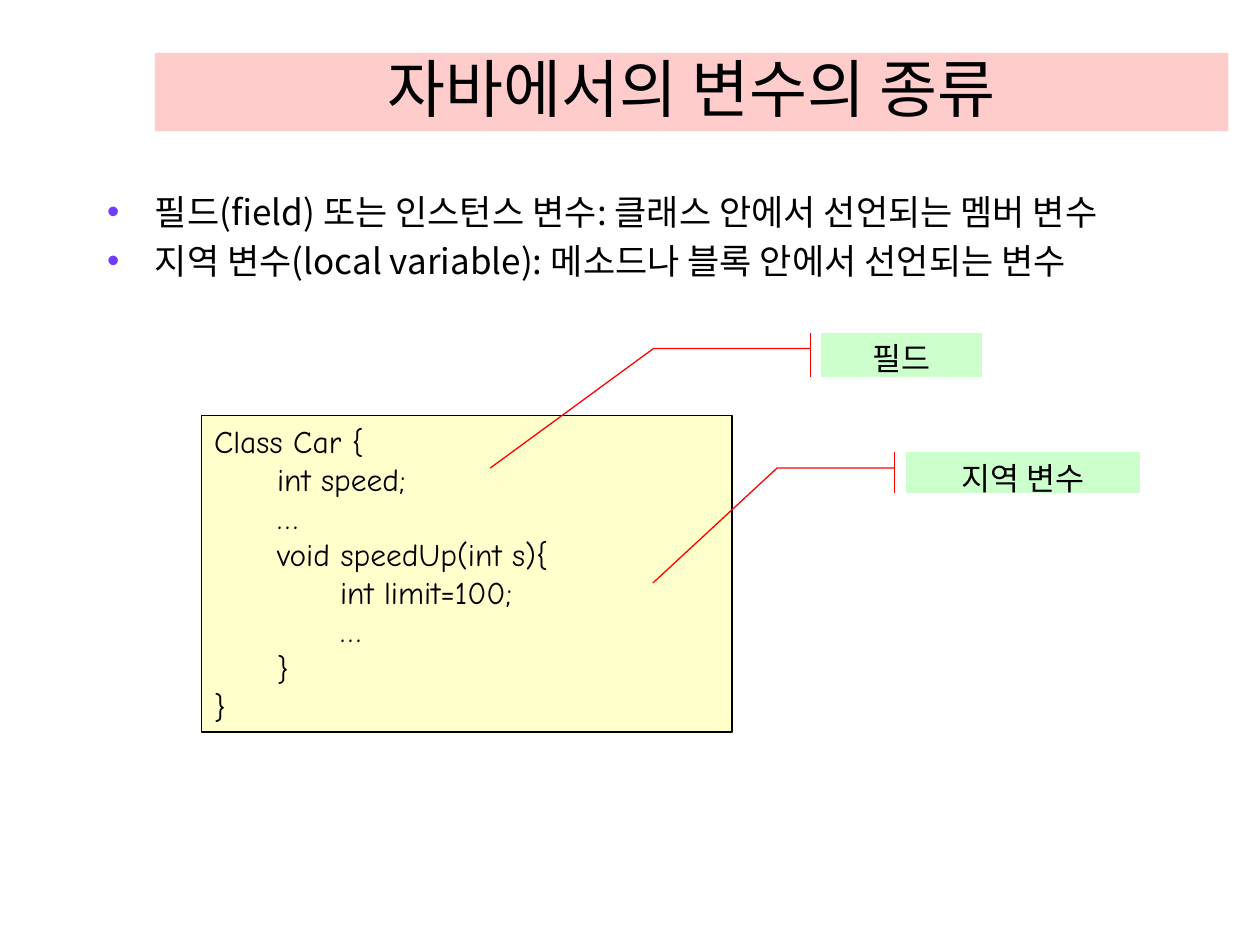
from lxml.etree import SubElement
from pptx import Presentation
from pptx.dml.color import RGBColor
from pptx.enum.shapes import MSO_SHAPE
from pptx.enum.text import MSO_ANCHOR, PP_ALIGN
from pptx.oxml.ns import qn
from pptx.util import Inches, Pt

COLORS = {"text": "000000", "title": "FFCCCC", "code": "FFFFCC",
          "label": "CCFFCC", "callout": "FF0000", "bullet": "703DFF"}
KOREAN, HAND = "Noto Sans CJK KR", "Comic Neue"
W, H = 10, 7.5

CODE = ["Class Car {", "\tint speed;", "\t…", "\tvoid speedUp(int s){",
        "\t\tint limit=100;", "\t\t…", "\t}", "}"]
BULLETS = ["필드(field) 또는 인스턴스 변수: 클래스 안에서 선언되는 멤버 변수",
           "지역 변수(local variable): 메소드나 블록 안에서 선언되는 변수"]
# Label, box, and the leader's three points as (y, x) shares of the box
CALLOUTS = [
    ("필드", (6.52, 2.64, 1.27, 0.35), (0.36, -0.07, 0.36, -1.05, 3.07, -2.07)),
    ("지역 변수", (7.19, 3.59, 1.86, 0.32), (0.39, -0.05, 0.39, -0.55, 3.24, -1.08)),
]


def rgb(name):
    return RGBColor.from_string(COLORS[name])


def place(sp, left, top, width, height):
    sp.left, sp.top = Inches(left), Inches(top)
    sp.width, sp.height = Inches(width), Inches(height)


def paint(sp, fill, line=None):
    sp.fill.solid()
    sp.fill.fore_color.rgb = rgb(fill)
    if line:
        sp.line.color.rgb = rgb(line)
        sp.line.width = Pt(0.75)


def write(sp, lines, size, face, align=PP_ALIGN.LEFT, anchor=MSO_ANCHOR.TOP):
    tf = sp.text_frame
    tf.word_wrap = True
    tf.vertical_anchor = anchor
    tf.text = "\n".join(lines)
    for p in tf.paragraphs:
        p.alignment = align
        p.font.size, p.font.name = Pt(size), face
        p.font.color.rgb = rgb("text")
        # East Asian face for the Korean letters
        SubElement(p.font._element, qn("a:ea"), typeface=KOREAN)


def add_bullet(p):
    pPr = p._p.get_or_add_pPr()
    pPr.set("marL", str(Inches(0.38)))
    pPr.set("indent", str(-Inches(0.38)))
    color = pPr.makeelement(qn("a:buClr"))
    SubElement(color, qn("a:srgbClr"), val=COLORS["bullet"])
    char = pPr.makeelement(qn("a:buChar"), char="•")
    font = pPr.find(qn("a:defRPr"))
    font.addprevious(color)
    font.addprevious(char)


def add_box(s, kind, box, fill, line):
    sp = s.shapes.add_shape(kind, *map(Inches, box))
    sp.shadow.inherit = False
    paint(sp, fill, line)
    return sp


def add_callout(s, label, box, leader):
    sp = add_box(s, MSO_SHAPE.LINE_CALLOUT_2_ACCENT_BAR, box, "label", "callout")
    for i, share in enumerate(leader):
        sp.adjustments[i] = share
    write(sp, [label], 18, HAND, PP_ALIGN.CENTER)


def main():
    prs = Presentation()
    prs.slide_width, prs.slide_height = Inches(W), Inches(H)
    s = prs.slides.add_slide(prs.slide_layouts[1])

    # Title band
    title, body = s.placeholders
    place(title, 1.23, 0.42, 8.52, 0.62)
    paint(title, "title")
    write(title, ["자바에서의 변수의 종류"], 36, KOREAN, PP_ALIGN.CENTER, MSO_ANCHOR.BOTTOM)

    # Definitions
    place(body, 0.75, 1.46, 8.98, 4.54)
    write(body, BULLETS, 20, KOREAN)
    for p in body.text_frame.paragraphs:
        p.space_before = Pt(4)
        add_bullet(p)

    # Code listing with its callouts
    code = add_box(s, MSO_SHAPE.RECTANGLE, (1.6, 3.3, 4.21, 2.51), "code", "text")
    write(code, CODE, 18, HAND)
    for callout in CALLOUTS:
        add_callout(s, *callout)

    prs.save("out.pptx")


if __name__ == "__main__":
    main()
